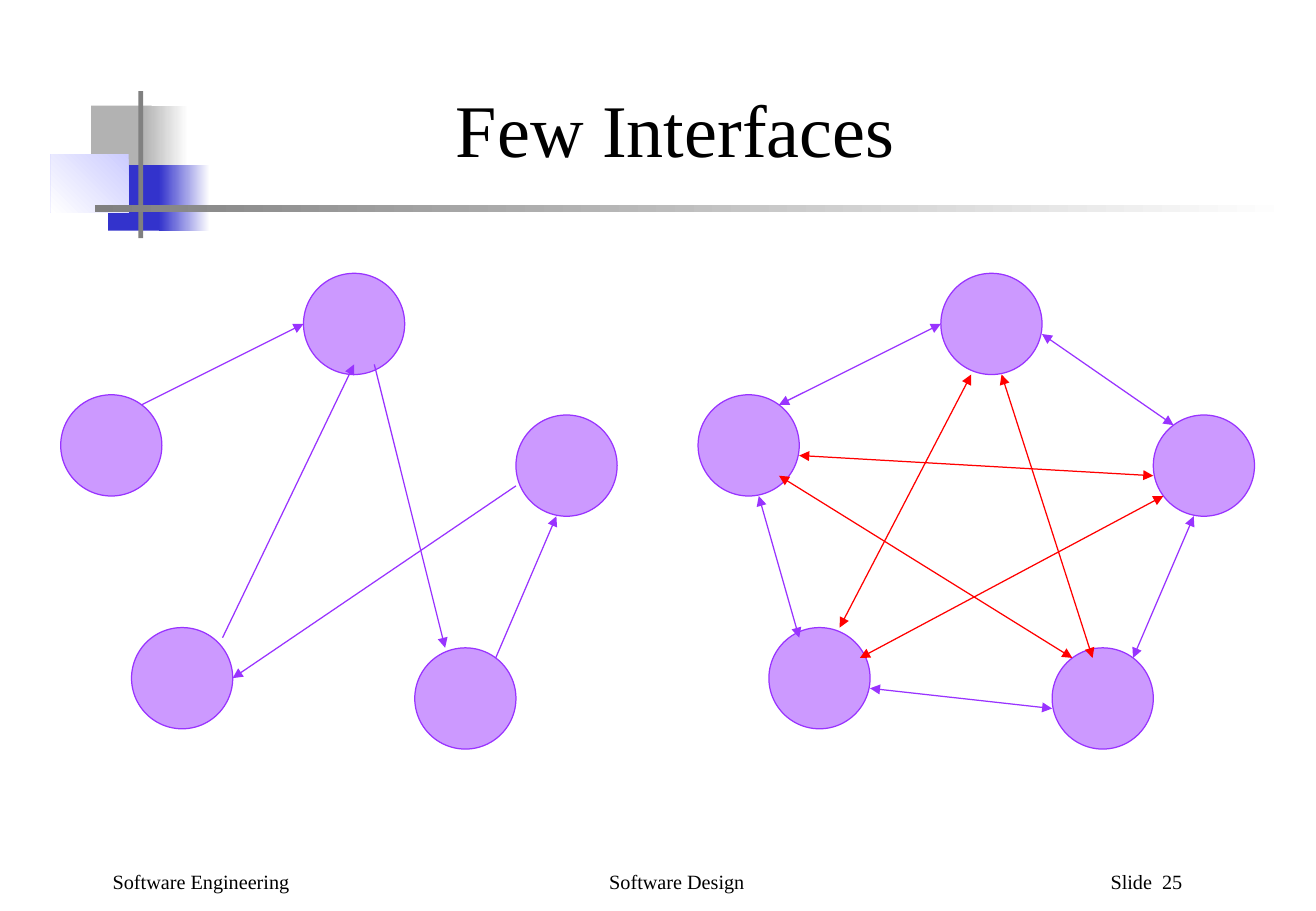
from lxml.etree import SubElement
from pptx import Presentation
from pptx.dml.color import RGBColor
from pptx.enum.shapes import MSO_CONNECTOR, MSO_SHAPE
from pptx.enum.text import MSO_ANCHOR, PP_ALIGN
from pptx.oxml.ns import qn
from pptx.util import Inches, Pt

BLACK = RGBColor(0, 0, 0)
WHITE = RGBColor(255, 255, 255)
SILVER = RGBColor(0xB2, 0xB2, 0xB2)
GRAY = RGBColor(0x80, 0x80, 0x80)
BLUE = RGBColor(0x33, 0x33, 0xCC)
PALE = RGBColor(0xCC, 0xCC, 0xFF)
LILAC = RGBColor(0xCC, 0x99, 0xFF)
PURPLE = RGBColor(0x99, 0x33, 0xFF)
RED = RGBColor(255, 0, 0)
FONT = "Times New Roman"

# Graph nodes and links are given in units of a twelfth of an inch.
UNIT = 1 / 12
SIZE = 10
NODES = [(0, 12), (7, 35), (24, 0), (45, 14), (35, 37)]
FEW = [(45, 21, 17, 40), (16, 36, 29, 9), (43, 38, 49, 24),
       (8, 13, 24, 5), (31, 9, 38, 37)]
RING = [(6, 22, 10, 36), (17, 41, 35, 43), (43, 38, 49, 24),
        (8, 13, 24, 5), (34, 6, 47, 15)]
STAR = [(10, 18, 45, 20), (8, 20, 37, 38), (27, 10, 14, 35),
        (30, 10, 39, 38), (16, 38, 46, 22)]


def style(para, size):
    for run in para.runs:
        run.font.name = FONT
        run.font.size = Pt(size)
        run.font.color.rgb = BLACK


def add_title(slide, left, top, width, height):
    title = slide.shapes.title
    title.left, title.top = Inches(left), Inches(top)
    title.width, title.height = Inches(width), Inches(height)
    frame = title.text_frame
    frame.text = "Few Interfaces"
    frame.vertical_anchor = MSO_ANCHOR.MIDDLE
    frame.paragraphs[0].alignment = PP_ALIGN.CENTER
    style(frame.paragraphs[0], 44)


def add_block(slide, left, top, width, height, color, fade=None, angle=0):
    """Add a borderless rectangle, solid or fading to a second colour."""
    block = slide.shapes.add_shape(
        MSO_SHAPE.RECTANGLE, Inches(left), Inches(top),
        Inches(width), Inches(height))
    block.shadow.inherit = False
    block.line.fill.background()
    if fade is None:
        block.fill.solid()
        block.fill.fore_color.rgb = color
    else:
        block.fill.gradient()
        block.fill.gradient_angle = angle
        for stop, shade in zip(block.fill.gradient_stops, (color, fade)):
            stop.color.rgb = shade
            stop.position = 0 if shade is color else 1


def add_motif(slide, left, top):
    add_block(slide, left + 0.33, top + 0.12, 0.5, 0.54, SILVER)
    add_block(slide, left + 0.76, top + 0.12, 0.37, 0.54, SILVER, WHITE)
    add_block(slide, left + 0.47, top + 0.61, 0.48, 0.54, BLUE)
    add_block(slide, left + 0.89, top + 0.61, 0.42, 0.54, BLUE, WHITE)
    add_block(slide, left, top + 0.52, 0.64, 0.48, PALE, WHITE, 225)
    add_block(slide, left + 0.72, top, 0.04, 1.21, GRAY)
    add_block(slide, left + 0.36, top + 0.94, 9.87, 0.06, GRAY, WHITE)


def add_node(slide, left, top):
    node = slide.shapes.add_shape(
        MSO_SHAPE.OVAL, Inches(left), Inches(top),
        Inches(SIZE * UNIT), Inches(SIZE * UNIT))
    node.shadow.inherit = False
    node.fill.solid()
    node.fill.fore_color.rgb = LILAC
    node.line.color.rgb = PURPLE
    node.line.width = Pt(0.75)


def add_link(slide, ends, color, both):
    link = slide.shapes.add_connector(
        MSO_CONNECTOR.STRAIGHT, *[Inches(end) for end in ends])
    link.line.color.rgb = color
    link.line.width = Pt(0.75)
    props = link._element.spPr
    line = props.find(qn("a:ln"))
    for tag in ("a:headEnd", "a:tailEnd") if both else ("a:tailEnd",):
        SubElement(line, qn(tag), type="triangle")
    SubElement(props, qn("a:effectLst"))


def add_graph(slide, left, top, groups, both):
    """Draw the five nodes and each (links, colour) group from a corner."""
    for x, y in NODES:
        add_node(slide, left + x * UNIT, top + y * UNIT)
    for links, color in groups:
        for x1, y1, x2, y2 in links:
            ends = (left + x1 * UNIT, top + y1 * UNIT,
                    left + x2 * UNIT, top + y2 * UNIT)
            add_link(slide, ends, color, both)


def add_footer(slide, left, top, width, height):
    box = slide.shapes.add_textbox(
        Inches(left), Inches(top), Inches(width), Inches(height))
    frame = box.text_frame
    frame.word_wrap = True
    frame.text = "Software Engineering\tSoftware Design\tSlide  25"
    para = frame.paragraphs[0]
    para.line_spacing = 0.9
    para.space_before = Pt(3)
    style(para, 12)
    tabs = SubElement(para._p.get_or_add_pPr(), qn("a:tabLst"))
    for stop in (4.09, 8.22):
        SubElement(tabs, qn("a:tab"), pos=str(Inches(stop)), algn="l")


def main():
    deck = Presentation()
    deck.slide_width, deck.slide_height = Inches(10.84), Inches(7.5)
    slide = deck.slides.add_slide(deck.slide_layouts[5])
    add_motif(slide, 0.42, 0.75)
    add_footer(slide, 0.83, 7.13, 9.17, 0.46)
    add_title(slide, 0.96, 0.5, 9.21, 1.1)
    add_graph(slide, 5.75, 2.25, [(RING, PURPLE), (STAR, RED)], True)
    add_graph(slide, 0.5, 2.25, [(FEW, PURPLE)], False)
    deck.save("out.pptx")


if __name__ == "__main__":
    main()
